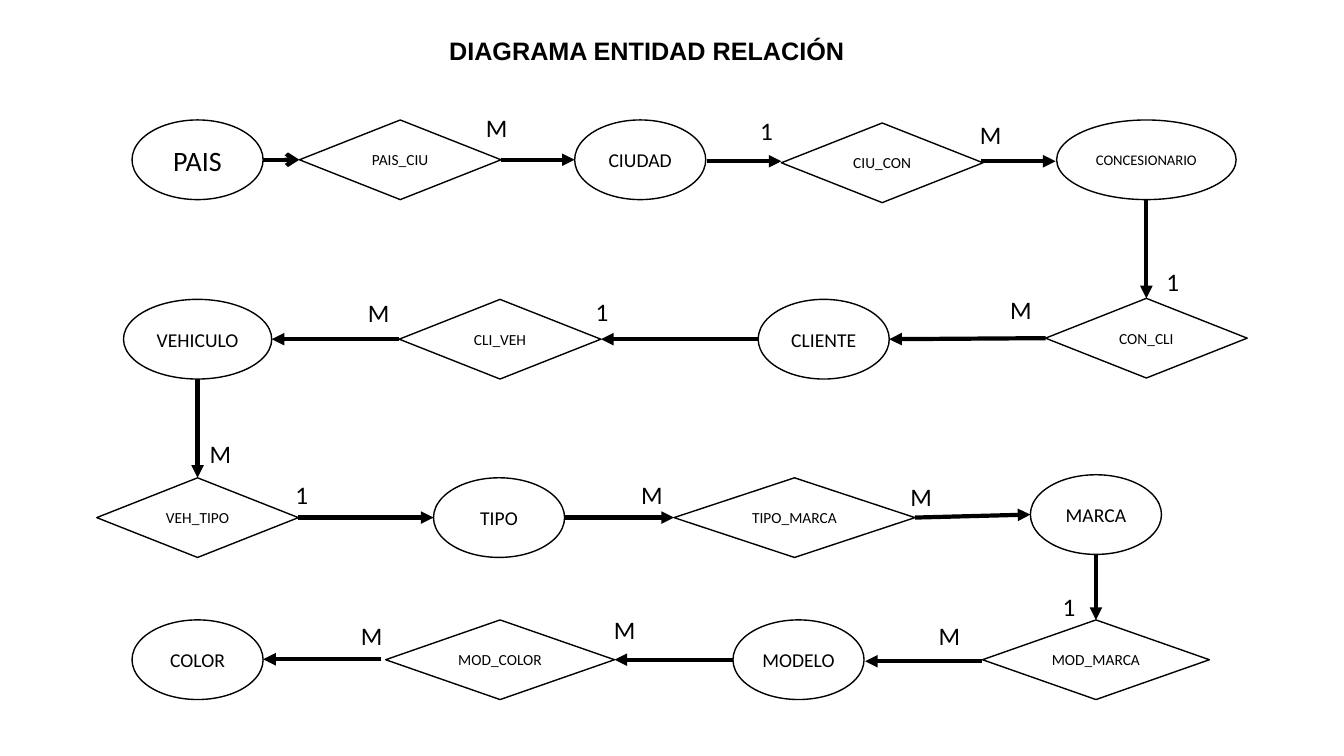
from itertools import pairwise

from lxml import etree
from pptx import Presentation
from pptx.dml.color import RGBColor
from pptx.enum.shapes import MSO_CONNECTOR, MSO_SHAPE
from pptx.enum.text import MSO_ANCHOR, MSO_AUTO_SIZE, PP_ALIGN
from pptx.oxml.ns import qn
from pptx.util import Inches, Pt

OVAL, RHOMB = MSO_SHAPE.OVAL, MSO_SHAPE.DIAMOND
STRAIGHT = MSO_CONNECTOR.STRAIGHT
MIDDLE, FIT = MSO_ANCHOR.MIDDLE, MSO_AUTO_SIZE.SHAPE_TO_FIT_TEXT
LEFT, CENTER = PP_ALIGN.LEFT, PP_ALIGN.CENTER
TOP_SIDE, LEFT_SIDE, BOTTOM_SIDE, RIGHT_SIDE = range(4)

# Grid: ten columns and ten rows to the inch
CELL = 0.1
ROWS = (15.85, 33.65, 51.35, 65.45)
HIGH = 7.9

# Chain in reading order: name, kind, centre column, centre row, width, size
CHAIN = [
    ("PAIS", OVAL, 19.6, ROWS[0], 13, 20),
    ("PAIS_CIU", RHOMB, 39.7, ROWS[0], 20, 11),
    ("CIUDAD", OVAL, 63.5, ROWS[0], 13, 14),
    ("CIU_CON", RHOMB, 87.5, ROWS[0] + 0.3, 20, 11),
    ("CONCESIONARIO", OVAL, 113.7, ROWS[0], 17.8, 10.5),
    ("CON_CLI", RHOMB, 113.7, ROWS[1] - 0.1, 20, 11),
    ("CLIENTE", OVAL, 81.7, ROWS[1], 13, 14),
    ("CLI_VEH", RHOMB, 49.6, ROWS[1], 20, 11),
    ("VEHICULO", OVAL, 19.6, ROWS[1], 14.7, 14),
    ("VEH_TIPO", RHOMB, 19.6, ROWS[2], 20, 11),
    ("TIPO", OVAL, 49.5, ROWS[2], 13, 14),
    ("TIPO_MARCA", RHOMB, 78.8, ROWS[2], 23.9, 11),
    ("MARCA", OVAL, 108.7, ROWS[2] - 0.3, 13, 14),
    ("MOD_MARCA", RHOMB, 108.7, ROWS[3], 22.5, 11),
    ("MODELO", OVAL, 79.2, ROWS[3], 13, 14),
    ("MOD_COLOR", RHOMB, 49.6, ROWS[3], 22.7, 11),
    ("COLOR", OVAL, 19.6, ROWS[3], 13, 14),
]

# Level arrows that stop beside the shapes: start name, from column, to column, row
LOOSE = {
    "CIUDAD": (70.1, 77.5, 16),
    "CIU_CON": (97.3, 104.7, 16),
    "MOD_MARCA": (97.4, 85.8, 65.6),
    "MOD_COLOR": (37.8, 26.1, 65.4),
}

# Cardinality marks: left column and top row
MARKS = {
    "1": [(58.1, 28.9), (74.4, 10.9), (114.7, 25.9), (28.3, 47.1), (104.4, 58.2)],
    "M": [(47.2, 10.7), (96.2, 11.3), (99.2, 28.7), (35.5, 29), (19.8, 43),
          (89.3, 47.3), (62.6, 47.1), (92.1, 61.1), (34.8, 61.1), (59.9, 60.5)],
}


def color(code):
    return RGBColor.from_string(code)


def grid(*cells):
    return [Inches(cell * CELL) for cell in cells]


class Board:
    ink, paper = "000000", "FFFFFF"
    thin, thick = Pt(1), Pt(3)

    def __init__(self, slide):
        self.slide = slide
        self.shapes = slide.shapes

    def letter(self, frame, text, align, style):
        para = frame.paragraphs[0]
        para.alignment = align
        run = para.add_run()
        run.text = text
        for key, value in style.items():
            setattr(run.font, key, value)
        run.font.color.rgb = color(self.ink)

    def node(self, name, kind, col, row, wide, size):
        box = grid(col - wide / 2, row - HIGH / 2, wide, HIGH)
        shape = self.shapes.add_shape(kind, *box)
        shape.shadow.inherit = False
        shape.fill.solid()
        shape.fill.fore_color.rgb = color(self.paper)
        shape.line.color.rgb = color(self.ink)
        shape.line.width = self.thin
        frame = shape.text_frame
        layout = {"word_wrap": True, "vertical_anchor": MIDDLE,
                  "margin_left": 0, "margin_right": 0}
        for key, value in layout.items():
            setattr(frame, key, value)
        self.letter(frame, name, CENTER, {"name": "Calibri", "size": Pt(size)})
        return shape

    def label(self, text, box, align=LEFT, **style):
        frame = self.shapes.add_textbox(*grid(*box)).text_frame
        frame.word_wrap = True
        frame.auto_size = FIT
        look = {"name": "Calibri", "size": Pt(18)} | style
        self.letter(frame, text, align, look)

    def arrow(self, start, end, head="triangle"):
        line = self.shapes.add_connector(STRAIGHT, *grid(*start, *end))
        line.line.color.rgb = color(self.ink)
        line.line.width = self.thick
        props = line._element.spPr
        etree.SubElement(props.find(qn("a:ln")), qn("a:tailEnd"), type=head)
        etree.SubElement(props, qn("a:effectLst"))
        return line

    def join(self, start, end, sides, head):
        line = self.arrow((0, 0), (0, 0), head)
        line.begin_connect(start, sides[0])
        line.end_connect(end, sides[1])
        # An oval has eight sites, so its side middles have doubled numbers
        for shape, side, tag in zip((start, end), sides, ("a:stCxn", "a:endCxn")):
            if shape.auto_shape_type == OVAL:
                site = next(line._element.iter(qn(tag)))
                site.set("idx", str(side * 2))


def main():
    deck = Presentation()
    deck.slide_width, deck.slide_height = Inches(13.33), Inches(7.5)
    board = Board(deck.slides.add_slide(deck.slide_layouts[6]))

    # Entities and relations
    nodes = {item[0]: board.node(*item) for item in CHAIN}

    # Arrows along the chain
    for (name, _, col, *_), (goal, _, next_col, *_) in pairwise(CHAIN):
        if name in LOOSE:
            start, end, row = LOOSE[name]
            board.arrow((start, row), (end, row))
            continue
        if col == next_col:
            sides = BOTTOM_SIDE, TOP_SIDE
        elif col < next_col:
            sides = RIGHT_SIDE, LEFT_SIDE
        else:
            sides = LEFT_SIDE, RIGHT_SIDE
        head = "arrow" if name == "PAIS" else "triangle"
        board.join(nodes[name], nodes[goal], sides, head)

    # Cardinalities
    for mark, spots in MARKS.items():
        for spot in spots:
            board.label(mark, (*spot, 4.8, 4))

    # Title
    board.label("DIAGRAMA ENTIDAD RELACIÓN", (19.6, 3, 89.1, 4), CENTER,
                name="Arial", bold=True)

    deck.save("out.pptx")


if __name__ == "__main__":
    main()
